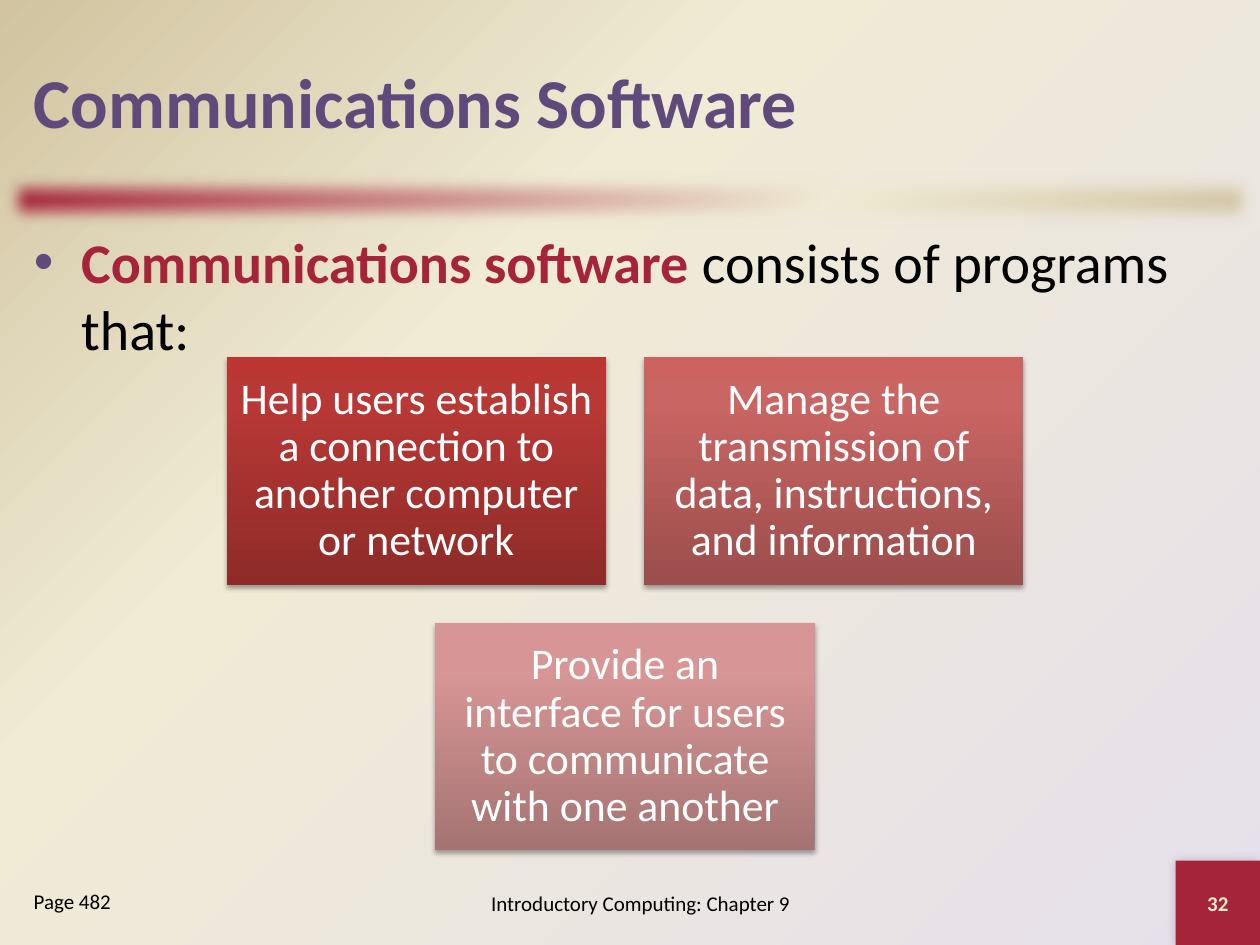
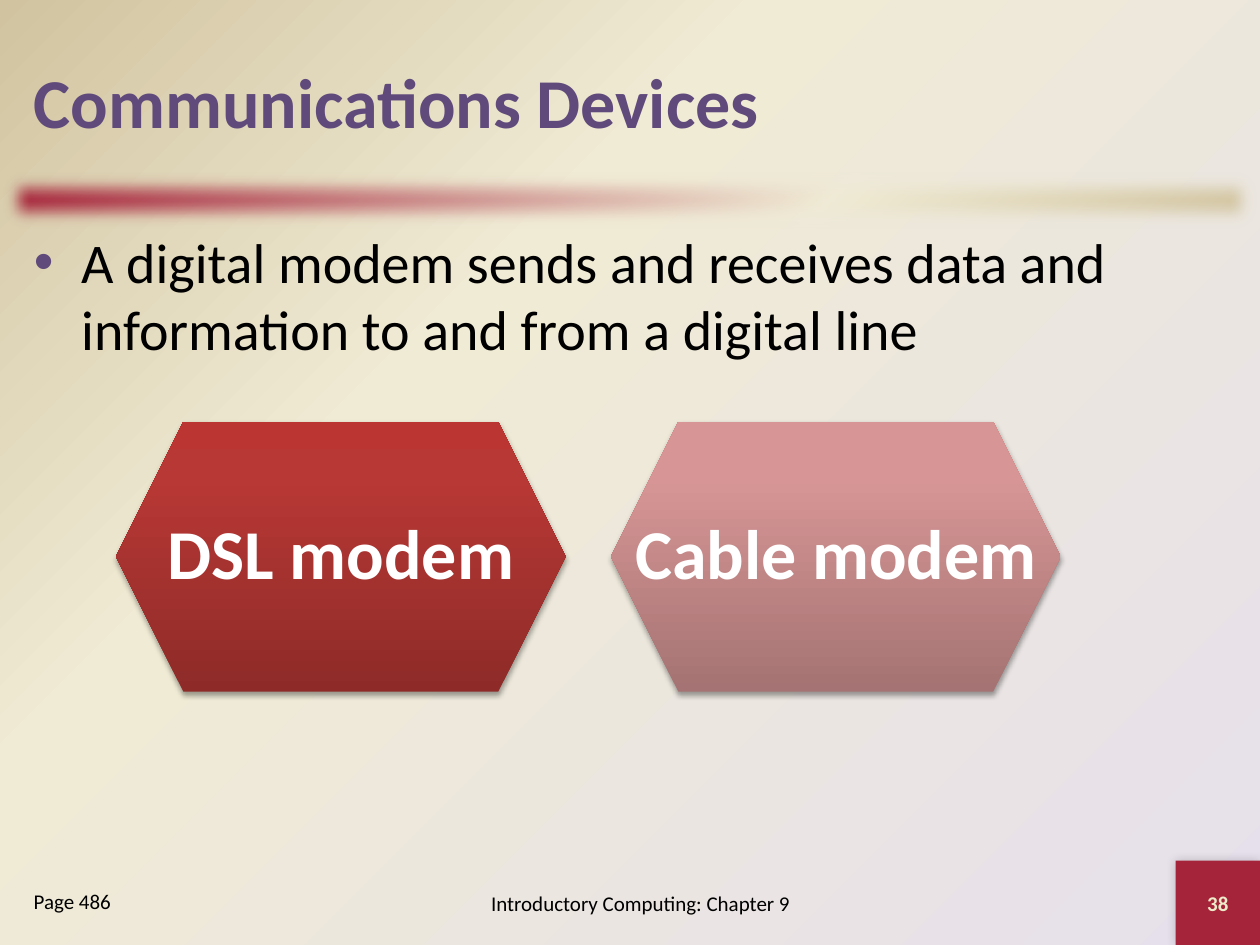
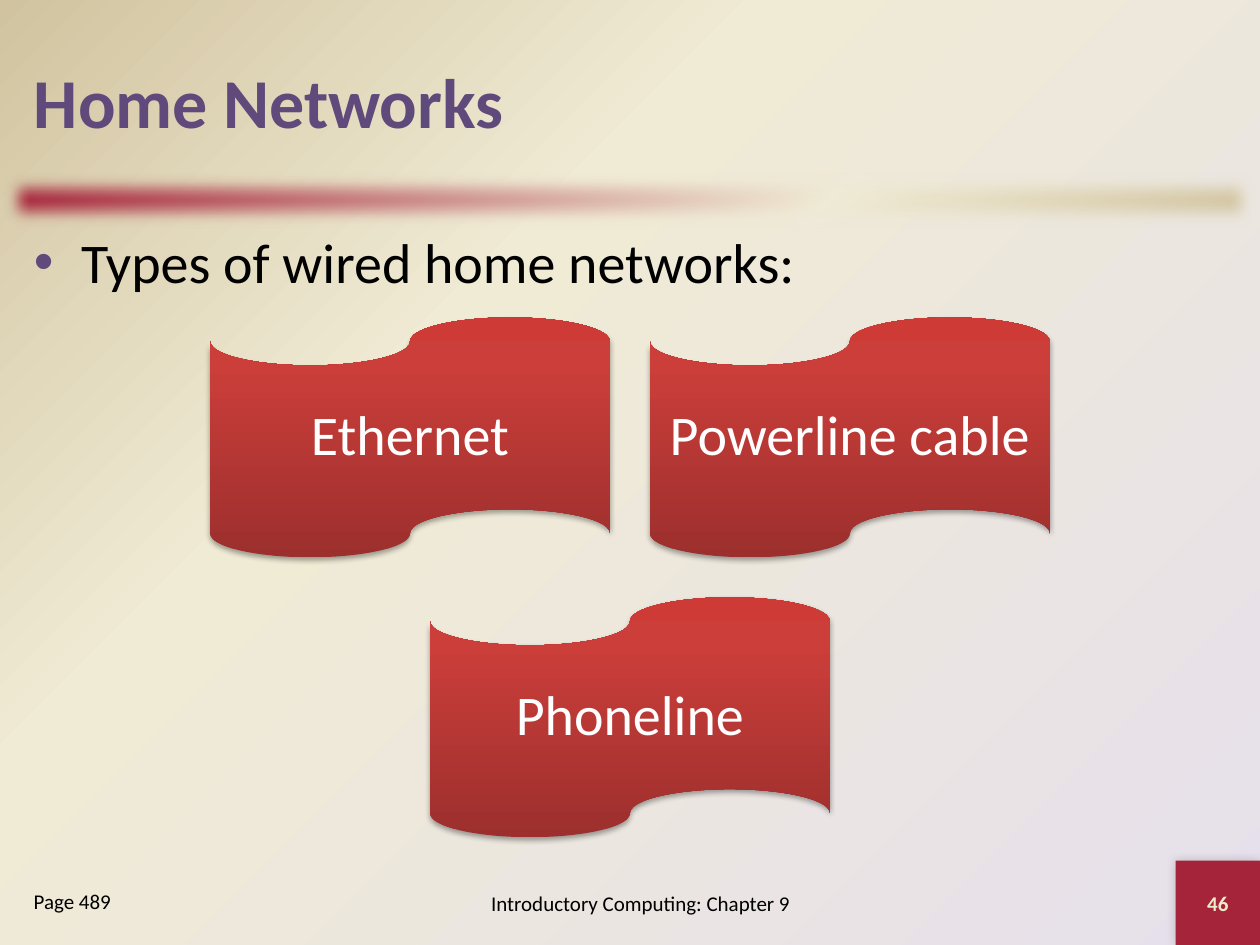
from lxml import etree
from pptx import Presentation
from pptx.dml.color import RGBColor
from pptx.enum import shapes, text
from pptx.oxml import parse_xml
from pptx.oxml.ns import nsdecls, qn
from pptx.util import Cm, Pt

FONT = "Calibri"
PURPLE, CRIMSON, BLACK, WHITE, CREAM = "604A7B", "A52439", "000000", "FFFFFF", "EEEBCA"
BACKGROUND = [(0, "E6E0EC"), (65, "F0EBD5"), (100, "D1C39F")]
BAND = [(0, CRIMSON), (65, "F0EBD5"), (100, "D1C39F")]
DARK_RED = [(0, "8E2B28"), (80, "B83835"), (100, "BB3632")]
MID_RED = [(0, "9B4E4C"), (80, "C96563"), (100, "CC6361")]
PALE_RED = [(0, "A57373"), (80, "D79695"), (100, "D99594")]
BRIGHT_RED = [(0, "9C2F2D"), (80, "CB3E3A"), (100, "CE3B37")]
FOOTER = "Introductory Computing: Chapter 9"

SLIDES = [
    {
        "title": "Communications Software",
        "lead": "Communications software ",
        "body": "consists of programs that:",
        "page": "Page 482",
        "number": "32",
        "cards": [
            ("Help users establish a connection to another computer or network", DARK_RED),
            ("Manage the transmission of data, instructions, and information", MID_RED),
            ("Provide an interface for users to communicate with one another", PALE_RED),
        ],
        "kind": shapes.MSO_SHAPE.RECTANGLE,
        "center": 12.6, "top": 7.2, "width": 7.65,
        "format": {"size": 25, "inset": 0.25},
    },
    {
        "title": "Communications Devices",
        "lead": "",
        "body": "A digital modem sends and receives data and information to and from a digital line",
        "page": "Page 486",
        "number": "38",
        "cards": [("DSL modem", DARK_RED), ("Cable modem", PALE_RED)],
        "kind": shapes.MSO_SHAPE.HEXAGON,
        "center": 11.86, "top": 8.5, "width": 9.07,
        "format": {"size": 40, "inset": 0.42, "bold": True, "wrap": False},
    },
    {
        "title": "Home Networks",
        "lead": "",
        "body": "Types of wired home networks:",
        "page": "Page 489",
        "number": "46",
        "cards": [
            ("Ethernet", BRIGHT_RED),
            ("Powerline cable", BRIGHT_RED),
            ("Phoneline", BRIGHT_RED),
        ],
        "kind": shapes.MSO_SHAPE.FLOWCHART_PUNCHED_TAPE,
        "center": 12.7, "top": 6.4, "width": 8.06,
        "format": {"size": 32, "inset": 0.33},
    },
]

COLUMNS = 2
CARD_RATIO = 0.6
GAP_RATIO = 0.1
LEFT, FULL_WIDTH = 0.43, 24.56


def rgb(color):
    return RGBColor.from_string(color)


def box(left, top, width, height):
    return Cm(left), Cm(top), Cm(width), Cm(height)


def place(shape, left, top, width, height):
    shape.left, shape.top, shape.width, shape.height = box(left, top, width, height)


def write(frame, content, *, size, color=BLACK, bold=False, lead="", align="LEFT",
          anchor="MIDDLE", spacing=1.0, inset=None, wrap=True):
    frame.word_wrap = wrap
    frame.auto_size = text.MSO_AUTO_SIZE.NONE
    frame.vertical_anchor = text.MSO_ANCHOR[anchor]
    if inset is not None:
        frame.margin_left = frame.margin_right = Cm(inset)
        frame.margin_top = frame.margin_bottom = Cm(inset)
    paragraph = frame.paragraphs[0]
    paragraph.alignment = text.PP_ALIGN[align]
    paragraph.line_spacing = spacing
    paragraph.space_before = Pt(0)
    runs = [(lead, CRIMSON, True), (content, color, bold)]
    for words, run_color, run_bold in runs:
        if words:
            run = paragraph.add_run()
            run.text = words
            run.font.name = FONT
            run.font.size = Pt(size)
            run.font.bold = run_bold
            run.font.color.rgb = rgb(run_color)
    return paragraph


def set_gradient(owner, fill, stops, direction):
    fill.gradient()
    current = next(owner.element.iter(qn("a:gradFill")))
    marks = "".join(
        f'<a:gs pos="{position * 1000}"><a:srgbClr val="{color}"/></a:gs>'
        for position, color in stops
    )
    gradient = parse_xml(
        f'<a:gradFill {nsdecls("a")} rotWithShape="1"><a:gsLst>{marks}</a:gsLst>'
        f"{direction}</a:gradFill>"
    )
    current.getparent().replace(current, gradient)


def linear(angle):
    return f'<a:lin ang="{angle * 60000}" scaled="0"/>'


def add_effect(shape, tag, **attributes):
    effects = next(shape.element.iter(qn("a:effectLst")))
    values = {name: str(value) for name, value in attributes.items()}
    return etree.SubElement(effects, qn(tag), values)


def add_shadow(shape, opacity, blur, distance, angle):
    shadow = add_effect(shape, "a:outerShdw", blurRad=Pt(blur), dist=Pt(distance),
                        dir=angle * 60000, algn="ctr", rotWithShape=0)
    color = etree.SubElement(shadow, qn("a:srgbClr"), val=BLACK)
    etree.SubElement(color, qn("a:alpha"), val=str(opacity * 1000))


def add_plain_shape(slide, kind, *bounds):
    shape = slide.shapes.add_shape(kind, *box(*bounds))
    shape.shadow.inherit = False
    shape.line.fill.background()
    return shape


def add_text(slide, content, *bounds, **options):
    write(slide.shapes.add_textbox(*box(*bounds)).text_frame, content, **options)


def add_frame(slide, page, number):
    band = add_plain_shape(slide, shapes.MSO_SHAPE.RECTANGLE, 0, 3.39, 25.4, 1.27)
    set_gradient(band, band.fill, BAND, linear(45))
    add_effect(band, "a:softEdge", rad=Pt(10))

    corner = add_plain_shape(slide, shapes.MSO_SHAPE.RECTANGLE, 23.7, 17.35, 1.7, 1.7)
    corner.fill.solid()
    corner.fill.fore_color.rgb = rgb(CRIMSON)
    add_shadow(corner, 20, 6, 0, 225)
    write(corner.text_frame, number, size=12, color=CREAM, bold=True, align="CENTER")

    add_text(slide, FOOTER, 7.62, 17.58, 10.59, 1.27, size=12, align="CENTER")
    add_text(slide, page, LEFT, 17.78, 4.65, 1.27, size=12, anchor="TOP")


def add_heading(slide, content):
    title, body = slide.placeholders
    place(title, LEFT, 0.43, FULL_WIDTH, 3.18)
    write(title.text_frame, content["title"], size=40, color=PURPLE, bold=True)
    place(body, LEFT, 4.45, FULL_WIDTH, 12.9)
    paragraph = write(body.text_frame, content["body"], lead=content["lead"],
                      size=32, anchor="TOP")
    properties = next(paragraph.runs[0].font._element.getparent().getparent().iter(qn("a:pPr")))
    bullet_color = etree.SubElement(properties, qn("a:buClr"))
    etree.SubElement(bullet_color, qn("a:srgbClr"), val=PURPLE)


def add_cards(slide, content):
    cards, width = content["cards"], content["width"]
    height, gap = width * CARD_RATIO, width * GAP_RATIO
    for index, (label, stops) in enumerate(cards):
        row, column = divmod(index, COLUMNS)
        in_row = min(COLUMNS, len(cards) - row * COLUMNS)
        row_width = in_row * width + (in_row - 1) * gap
        left = content["center"] - row_width / 2 + column * (width + gap)
        top = content["top"] + row * (height + gap)
        card = add_plain_shape(slide, content["kind"], left, top, width, height)
        set_gradient(card, card.fill, stops, linear(270))
        add_shadow(card, 35, 3.1, 1.8, 90)
        write(card.text_frame, label, color=WHITE, align="CENTER", spacing=0.9,
              **content["format"])


def main():
    presentation = Presentation()
    presentation.slide_width, presentation.slide_height = Cm(25.4), Cm(19.05)
    master = presentation.slide_master
    set_gradient(master, master.background.fill, BACKGROUND,
                 '<a:path path="circle"><a:fillToRect l="100000" t="100000"/></a:path>')
    for content in SLIDES:
        slide = presentation.slides.add_slide(presentation.slide_layouts[1])
        add_heading(slide, content)
        add_frame(slide, content["page"], content["number"])
        add_cards(slide, content)
    presentation.save("out.pptx")


if __name__ == "__main__":
    main()
